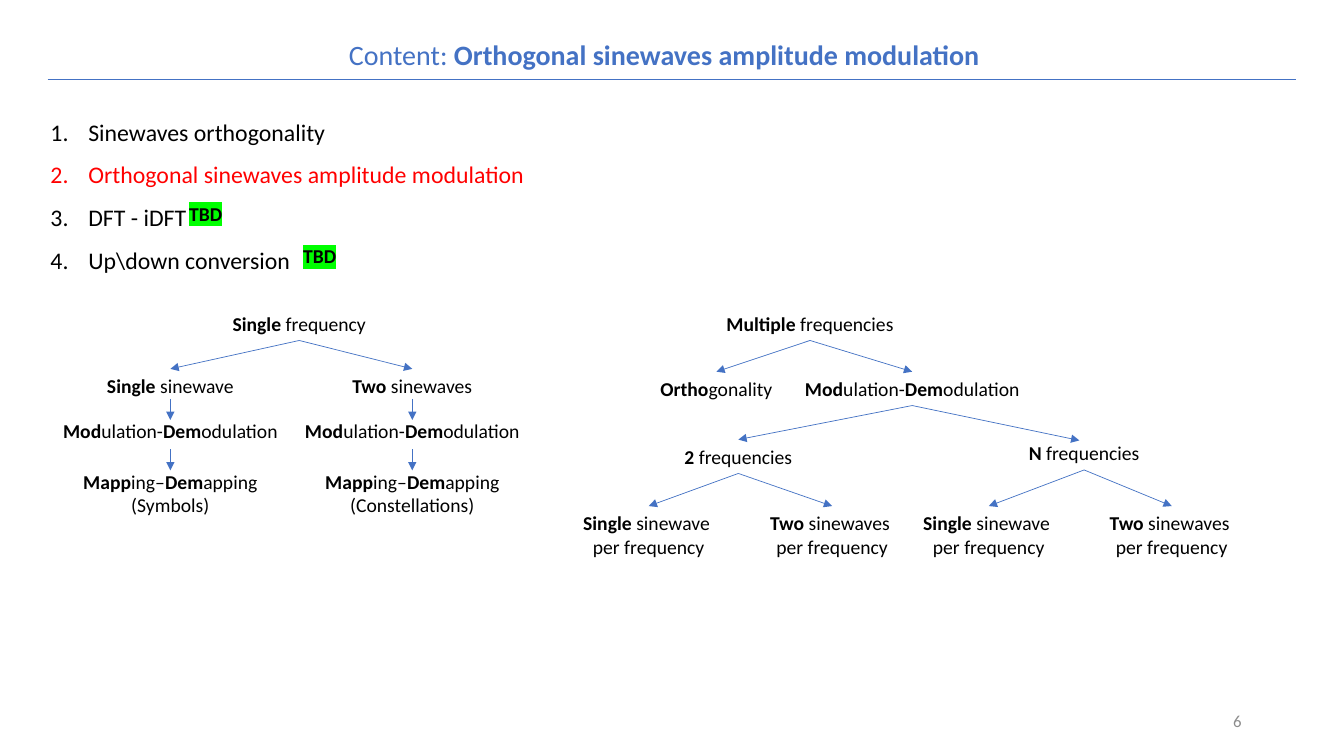
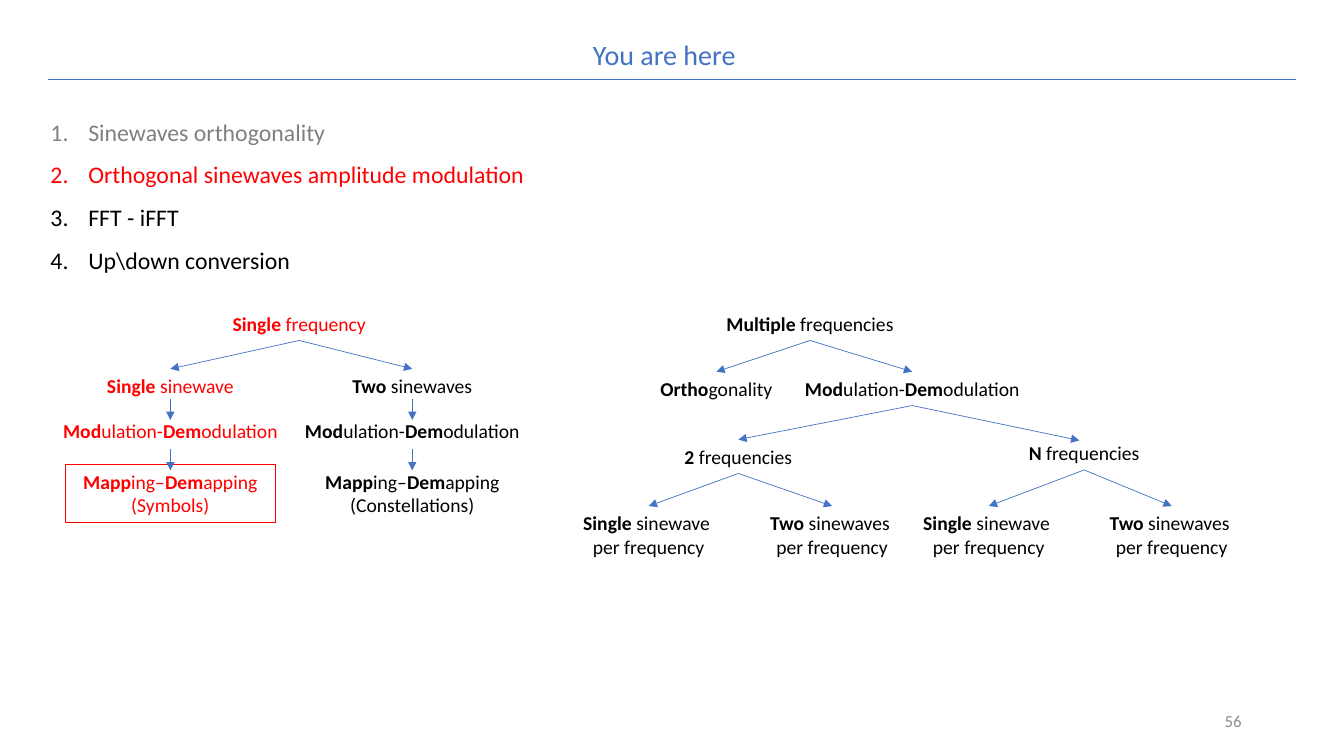
from dataclasses import dataclass
from typing import Optional

from lxml.etree import SubElement
from pptx import Presentation
from pptx.dml.color import RGBColor
from pptx.enum.shapes import MSO_CONNECTOR as Connector, MSO_SHAPE as Preset
from pptx.enum.text import MSO_ANCHOR as Anchor, MSO_AUTO_SIZE as AutoSize, PP_ALIGN as Align
from pptx.oxml.ns import qn
from pptx.util import Pt

FONT = "Calibri"
BLUE, RED, BLACK = "4472C4", "FF0000", "000000"
GRAY, NUMBER_GRAY, GREEN = "808080", "8C8C8C", "00FF00"
LINE_HEIGHT, BOX_PADDING = 17, 7.2
LIST_INDENT = 27


@dataclass(frozen=True)
class Node:
    text: str
    center: float
    top: float
    width: float
    children: tuple["Node", ...] = ()
    stub: bool = False
    entry: Optional[tuple[float, float]] = None

    @property
    def height(self) -> float:
        return BOX_PADDING + LINE_HEIGHT * len(self.text.split("\n"))


@dataclass(frozen=True)
class Topic:
    text: str
    color: str = BLACK
    tag: Optional[tuple[float, float]] = None


@dataclass(frozen=True)
class Page:
    title: str
    number: int
    topics: tuple[Topic, ...]
    active: tuple[Node, ...] = ()
    framed: Optional[Node] = None


MODULATION = "**Mod**ulation-**Dem**odulation"
MAPPING = "**Mapp**ing–**Dem**apping"
ONE_PER_FREQUENCY = "**Single** sinewave \nper frequency"
TWO_PER_FREQUENCY = "**Two** sinewaves \nper frequency"

SYMBOLS = Node(f"{MAPPING}\n(Symbols)", 121.7, 332, 150, stub=True)
ONE_MODULATION = Node(MODULATION, 121.7, 296, 176, (SYMBOLS,), stub=True)
ONE_SINEWAVE = Node("**Single** sinewave", 121.7, 263.5, 114, (ONE_MODULATION,))
CONSTELLATIONS = Node(f"{MAPPING}\n(Constellations)", 294.5, 332, 145, stub=True)
TWO_MODULATION = Node(MODULATION, 294.5, 296, 171, (CONSTELLATIONS,), stub=True)
TWO_SINEWAVES = Node("**Two** sinewaves", 294.5, 263.5, 111, (TWO_MODULATION,))
SINGLE_FREQUENCY = Node("**Single** frequency", 213.8, 219, 122, (ONE_SINEWAVE, TWO_SINEWAVES))

TWO_FREQUENCIES = Node("**2** frequencies", 527.4, 314, 99, (
    Node(ONE_PER_FREQUENCY, 463.4, 361.5, 110),
    Node(TWO_PER_FREQUENCY, 594.4, 361.5, 112),
))
N_FREQUENCIES = Node("**N** frequencies", 774.4, 311.5, 110, (
    Node(ONE_PER_FREQUENCY, 706.3, 361.5, 120),
    Node(TWO_PER_FREQUENCY, 837, 361.5, 104),
), entry=(771, 314.6))
MULTIPLE_FREQUENCIES = Node("**Multiple** frequencies", 578.6, 219, 135, (
    Node("**Ortho**gonality", 511.7, 265.5, 99),
    Node(MODULATION, 651.6, 265.5, 171, (TWO_FREQUENCIES, N_FREQUENCIES)),
))

MODULATION_TOPIC = Topic("Orthogonal sinewaves amplitude modulation", RED)
PAGES = (
    Page("Content: **Orthogonal sinewaves amplitude modulation**", 6, (
        Topic("Sinewaves orthogonality"),
        MODULATION_TOPIC,
        Topic("DFT - iDFT", tag=(128, 140.4)),
        Topic(r"Up\down conversion", tag=(209.5, 170.6)),
    )),
    Page("You are here", 56, (
        Topic("Sinewaves orthogonality", GRAY),
        MODULATION_TOPIC,
        Topic("FFT - iFFT"),
        Topic(r"Up\down conversion"),
    ), active=(SINGLE_FREQUENCY, ONE_SINEWAVE, ONE_MODULATION, SYMBOLS), framed=SYMBOLS),
)


def rgb(color: str) -> RGBColor:
    return RGBColor.from_string(color)


def add_runs(paragraph, text: str, *, size: float, color: str, highlight: Optional[str] = None) -> None:
    for index, part in enumerate(text.split("**")):
        if not part:
            continue
        run = paragraph.add_run()
        run.text = part
        run.font.size = Pt(size)
        run.font.bold = index % 2 == 1
        run.font.color.rgb = rgb(color)
        if highlight:
            mark = SubElement(run.font._element, qn("a:highlight"))
            SubElement(mark, qn("a:srgbClr")).set("val", highlight)
        run.font.name = FONT


def write(slide, text: str, left: float, top: float, width: float, height: float, *,
          size: float = 14, colors: tuple[str, ...] = (BLACK,), align=Align.CENTER,
          anchor=Anchor.TOP, spacing: float = 1, after: float = 0, numbered: bool = False,
          highlight: Optional[str] = None, border: Optional[str] = None) -> None:
    box = Pt(left), Pt(top), Pt(width), Pt(height)
    if border:
        shape = slide.shapes.add_shape(Preset.RECTANGLE, *box)
        shape.shadow.inherit = False
        shape.fill.background()
        shape.line.color.rgb = rgb(border)
        shape.line.width = Pt(0.75)
    else:
        shape = slide.shapes.add_textbox(*box)
    frame = shape.text_frame
    frame.word_wrap = True
    frame.vertical_anchor = anchor
    frame.auto_size = AutoSize.SHAPE_TO_FIT_TEXT if anchor == Anchor.TOP else AutoSize.NONE
    for index, line in enumerate(text.split("\n")):
        paragraph = frame.paragraphs[0] if index == 0 else frame.add_paragraph()
        paragraph.alignment = align
        paragraph.line_spacing = spacing
        paragraph.space_after = Pt(after)
        if numbered:
            properties = paragraph._p.get_or_add_pPr()
            properties.set("marL", str(Pt(LIST_INDENT)))
            properties.set("indent", str(-Pt(LIST_INDENT)))
            SubElement(properties, qn("a:buFont")).set("typeface", FONT)
            SubElement(properties, qn("a:buAutoNum")).set("type", "arabicPeriod")
        add_runs(paragraph, line, size=size, color=colors[index % len(colors)], highlight=highlight)


def connect(slide, start: tuple[float, float], end: tuple[float, float], *,
            width: float = 0.5, arrow: bool = True) -> None:
    connector = slide.shapes.add_connector(
        Connector.STRAIGHT, Pt(start[0]), Pt(start[1]), Pt(end[0]), Pt(end[1]))
    connector.line.color.rgb = rgb(BLUE)
    connector.line.width = Pt(width)
    if arrow:
        SubElement(connector.line._get_or_add_ln(), qn("a:tailEnd")).set("type", "triangle")
    SubElement(connector._element.spPr, qn("a:effectLst"))


def draw_tree(slide, node: Node, page: Page) -> None:
    write(slide, node.text, node.center - node.width / 2, node.top, node.width, node.height,
          colors=(RED if node in page.active else BLACK,),
          border=RED if node == page.framed else None)
    for child in node.children:
        draw_tree(slide, child, page)
        if child.stub:
            connect(slide, (child.center, child.top - 11), (child.center, child.top + 4), width=0.25)
        else:
            connect(slide, (node.center, node.top + node.height), child.entry or (child.center, child.top))


def draw_page(presentation, page: Page) -> None:
    slide = presentation.slides.add_slide(presentation.slide_layouts[6])
    write(slide, page.title, 28, 21.6, 893, 32.4, size=20, colors=(BLUE,), spacing=1.07, after=8)
    connect(slide, (34, 57), (926, 57), arrow=False)
    write(slide, "\n".join(topic.text for topic in page.topics), 29, 70, 360, 127.5, size=17,
          colors=tuple(topic.color for topic in page.topics), align=Align.LEFT,
          spacing=1.5, numbered=True)
    for root in (SINGLE_FREQUENCY, MULTIPLE_FREQUENCIES):
        draw_tree(slide, root, page)
    for topic in page.topics:
        if topic.tag:
            write(slide, "**TBD**", *topic.tag, 40, 24.2, align=Align.LEFT, highlight=GREEN)
    write(slide, str(page.number), 678, 500.5, 216, 28.8, size=12, colors=(NUMBER_GRAY,),
          align=Align.RIGHT, anchor=Anchor.MIDDLE)


def main() -> None:
    presentation = Presentation()
    presentation.slide_width, presentation.slide_height = Pt(960), Pt(540)
    for page in PAGES:
        draw_page(presentation, page)
    presentation.save("out.pptx")


if __name__ == "__main__":
    main()
